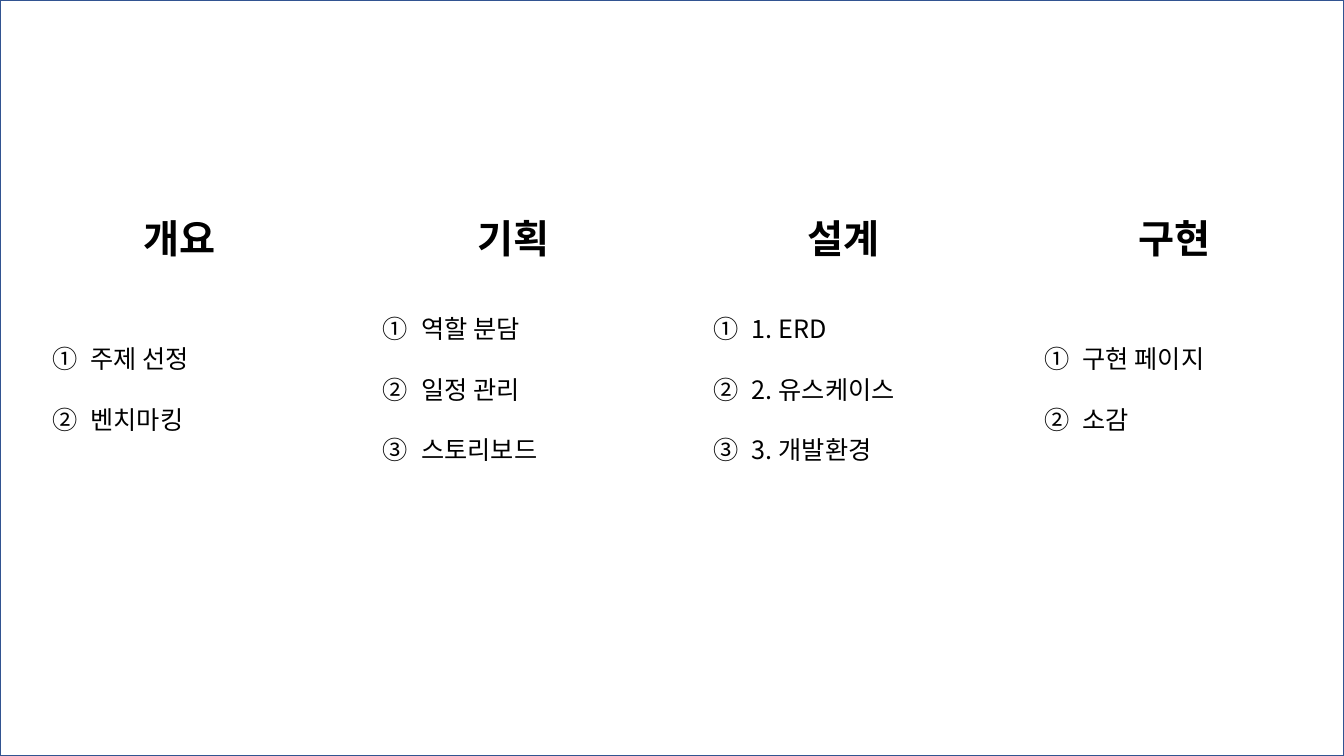
from dataclasses import dataclass

import pptx
import pptx.dml.color
import pptx.enum.shapes
import pptx.enum.text
import pptx.oxml.ns
import pptx.shapes.autoshape
import pptx.slide
import pptx.text.text
import pptx.util
from lxml import etree

Inches = pptx.util.Inches


@dataclass(frozen=True)
class Theme:
    white: str = "FFFFFF"
    black: str = "000000"
    frame_line: str = "325491"
    heading_font: str = "Montserrat"
    body_font: str = "Noto Sans CJK KR"
    heading_size: int = 28
    body_size: int = 18
    frame_opacity: int = 32


@dataclass(frozen=True)
class Section:
    heading: str
    items: tuple[str, ...]
    heading_shift: float = 0


THEME = Theme()
SECTIONS = (
    Section("개요", ("주제 선정", "벤치마킹"), heading_shift=-0.03),
    Section("기획", ("역할 분담", "일정 관리", "스토리보드")),
    Section("설계", ("1. ERD", "2. 유스케이스", "3. 개발환경")),
    Section("구현", ("구현 페이지", "소감")),
)
SLIDE_WIDTH, SLIDE_HEIGHT = 13.33, 7.5
FIRST_LEFT, COLUMN_PITCH, TOP = 0.27, 3.28, 2.08
CARD_WIDTH, CARD_HEIGHT = 3.08, 3.26
HEADING_WIDTH, HEADING_HEIGHT = 1.83, 0.57
NUMBER_INDENT = 0.38


def color(value: str) -> pptx.dml.color.RGBColor:
    return pptx.dml.color.RGBColor.from_string(value)


def add_child(parent: etree._Element, tag: str, **attributes: str) -> None:
    child = etree.SubElement(parent, pptx.oxml.ns.qn(tag))
    for name, value in attributes.items():
        child.set(name, value)


def add_box(
    slide: pptx.slide.Slide,
    kind: pptx.enum.shapes.MSO_SHAPE,
    bounds: tuple[float, float, float, float],
    line: str,
) -> pptx.shapes.autoshape.Shape:
    shape = slide.shapes.add_shape(kind, *map(Inches, bounds))
    shape.shadow.inherit = False
    shape.fill.solid()
    shape.fill.fore_color.rgb = color(THEME.white)
    shape.line.color.rgb = color(line)
    shape.line.width = pptx.util.Pt(1)
    return shape


def format_run(
    run: pptx.text.text._Run, font_name: str, size: int, bold: bool = False
) -> None:
    run.font.name = font_name
    run.font.size = pptx.util.Pt(size)
    run.font.bold = bold
    run.font.color.rgb = color(THEME.black)
    add_child(run.font._element, "a:ea", typeface=THEME.body_font)


def add_frame(slide: pptx.slide.Slide) -> None:
    frame = add_box(
        slide,
        pptx.enum.shapes.MSO_SHAPE.RECTANGLE,
        (0, 0, SLIDE_WIDTH, SLIDE_HEIGHT),
        THEME.frame_line,
    )
    fill_color = frame._element.spPr.find(
        "a:solidFill/a:srgbClr", pptx.oxml.ns._nsmap
    )
    add_child(fill_color, "a:alpha", val=str(THEME.frame_opacity * 1000))


def add_card(slide: pptx.slide.Slide, section: Section, left: float) -> None:
    card = add_box(
        slide,
        pptx.enum.shapes.MSO_SHAPE.ROUNDED_RECTANGLE,
        (left, TOP, CARD_WIDTH, CARD_HEIGHT),
        THEME.white,
    )
    text_frame = card.text_frame
    text_frame.text = "\n".join(section.items)
    text_frame.word_wrap = True
    text_frame.vertical_anchor = pptx.enum.text.MSO_ANCHOR.MIDDLE
    for paragraph in text_frame.paragraphs:
        paragraph.alignment = pptx.enum.text.PP_ALIGN.LEFT
        paragraph.line_spacing = 2.0
        properties = paragraph._p.get_or_add_pPr()
        properties.set("marL", str(Inches(NUMBER_INDENT)))
        properties.set("indent", str(-Inches(NUMBER_INDENT)))
        add_child(properties, "a:buAutoNum", type="circleNumDbPlain")
        format_run(paragraph.runs[0], THEME.body_font, THEME.body_size)


def add_heading(slide: pptx.slide.Slide, section: Section, left: float) -> None:
    heading_left = left + (CARD_WIDTH - HEADING_WIDTH) / 2 + section.heading_shift
    heading = slide.shapes.add_textbox(
        Inches(heading_left), Inches(TOP), Inches(HEADING_WIDTH), Inches(HEADING_HEIGHT)
    )
    text_frame = heading.text_frame
    text_frame.text = section.heading
    text_frame.word_wrap = True
    text_frame.auto_size = pptx.enum.text.MSO_AUTO_SIZE.SHAPE_TO_FIT_TEXT
    paragraph = text_frame.paragraphs[0]
    paragraph.alignment = pptx.enum.text.PP_ALIGN.CENTER
    format_run(paragraph.runs[0], THEME.heading_font, THEME.heading_size, bold=True)


def main() -> None:
    presentation = pptx.Presentation()
    presentation.slide_width = Inches(SLIDE_WIDTH)
    presentation.slide_height = Inches(SLIDE_HEIGHT)
    blank_layout = presentation.slide_layouts.get_by_name("Blank")
    slide = presentation.slides.add_slide(blank_layout)
    add_frame(slide)
    for index, section in enumerate(SECTIONS):
        left = FIRST_LEFT + index * COLUMN_PITCH
        add_card(slide, section, left)
        add_heading(slide, section, left)
    presentation.save("out.pptx")


if __name__ == "__main__":
    main()
